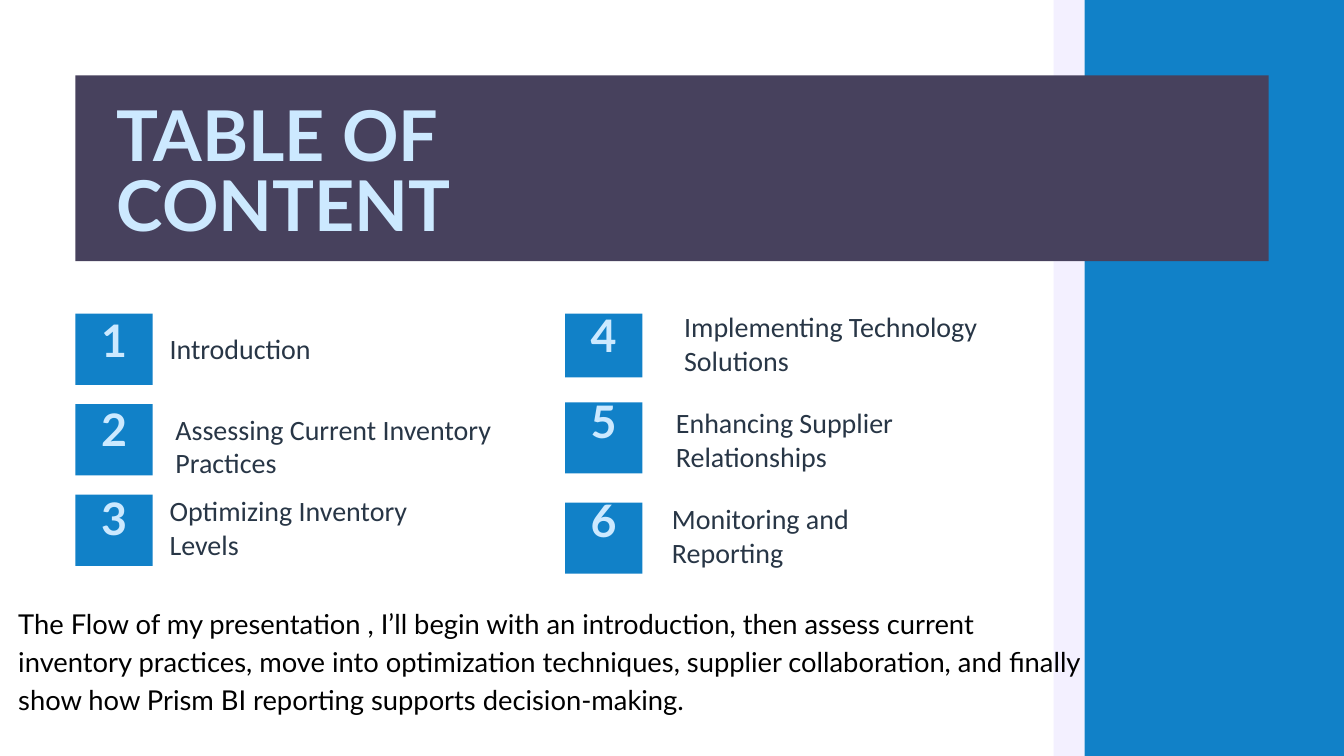
from dataclasses import dataclass

from pptx import Presentation
from pptx.dml.color import RGBColor
from pptx.enum.shapes import MSO_SHAPE
from pptx.enum.text import MSO_ANCHOR, MSO_AUTO_SIZE, PP_ALIGN
from pptx.util import Cm, Pt

RECTANGLE = MSO_SHAPE.RECTANGLE
TOP = MSO_ANCHOR.TOP
NO_AUTOFIT = MSO_AUTO_SIZE.NONE
LEFT, CENTER = PP_ALIGN.LEFT, PP_ALIGN.CENTER

COLORS = {
    "pale": "F3F0FF",
    "blue": "1181C8",
    "banner": "47415D",
    "light": "CCE9FF",
    "label": "283646",
    "summary": "000000",
}
SLIDE_WIDTH, SLIDE_HEIGHT = 50.8, 28.58
MARGIN = 2.85
TILE_WIDTH, TILE_HEIGHT = 2.92, 2.69
NUMBER_WIDTH, NUMBER_HEIGHT = 2.11, 2.11
LABEL_HEIGHT = 2.57
COLUMN_LEFTS = (MARGIN, 21.36)
SUMMARY = (
    "The Flow of my presentation , I’ll begin with an introduction, then assess "
    "current inventory practices, move into optimization techniques, supplier "
    "collaboration, and finally show how Prism BI reporting supports decision-making."
)


@dataclass
class Topic:
    """One entry of the contents; offsets are measured from its tile."""

    label: str
    top: float
    number_dy: float
    label_dx: float
    label_dy: float
    label_width: float
    tile_height: float = TILE_HEIGHT


TOPICS = (
    Topic("Introduction", 11.86, 0.3, 3.56, 0.69, 7.49),
    Topic("Assessing Current Inventory Practices", 15.28, 0.23, 3.78, 0.3, 13.13),
    Topic("Optimizing Inventory Levels", 18.7, 0.2, 3.56, -0.03, 10.52),
    Topic("Implementing Technology Solutions", 11.86, 0.13, 4.5, -0.15, 12.42, 2.41),
    Topic("Enhancing Supplier Relationships", 15.21, 0, 4.19, 0.13, 11.07),
    Topic("Monitoring and Reporting", 19, -0.05, 4.04, -0.03, 10.52),
)


def write_text(holder, text, *, size, spacing, color, font="Lato", bold=False, align=LEFT):
    """Fill a text holder with one formatted paragraph."""
    frame = holder.text_frame
    frame.word_wrap = True
    frame.auto_size = NO_AUTOFIT
    frame.vertical_anchor = TOP
    frame.margin_left = frame.margin_right = frame.margin_top = frame.margin_bottom = 0
    paragraph = frame.paragraphs[0]
    paragraph.alignment = align
    paragraph.line_spacing = Pt(spacing)
    paragraph.space_before = Pt(0)
    run = paragraph.add_run()
    run.text = text
    run.font.name = font
    run.font.size = Pt(size)
    run.font.bold = bold
    run.font.color.rgb = RGBColor.from_string(COLORS[color])


def add_text(slide, left, top, width, height, text, **style):
    """Add a text box with formatted text."""
    holder = slide.shapes.add_textbox(Cm(left), Cm(top), Cm(width), Cm(height))
    write_text(holder, text, **style)


def add_panel(slide, left, top, width, height, color):
    """Add a plain filled rectangle."""
    panel = slide.shapes.add_shape(RECTANGLE, Cm(left), Cm(top), Cm(width), Cm(height))
    panel.shadow.inherit = False
    panel.fill.solid()
    panel.fill.fore_color.rgb = RGBColor.from_string(COLORS[color])
    panel.line.fill.background()
    return panel


def add_side_band(slide, left, top, width, height):
    """Draw the blue side band with its pale edge."""
    edge = 1.17
    add_panel(slide, left, top, edge, height, "pale")
    add_panel(slide, left + edge, top, width - edge, height, "blue")


def add_title_banner(slide, left, top, width, height):
    """Draw the banner and set the title on top of it."""
    banner = add_panel(slide, left, top, width, height, "banner")
    title = slide.shapes.title
    title.left, title.top = Cm(left + 1.57), Cm(top + 1.14)
    title.width, title.height = Cm(25.02), Cm(5.94)
    write_text(title, "TABLE OF CONTENT", size=75, spacing=75, color="light", bold=True)
    banner.element.addnext(title.element)


def add_topic(slide, left, number, topic):
    """Draw a numbered tile with its label to the right."""
    add_panel(slide, left, topic.top, TILE_WIDTH, topic.tile_height, "blue")
    add_text(slide, left + (TILE_WIDTH - NUMBER_WIDTH) / 2, topic.top + topic.number_dy,
             NUMBER_WIDTH, NUMBER_HEIGHT, str(number),
             size=48, spacing=48, color="light", bold=True, align=CENTER)
    add_text(slide, left + topic.label_dx, topic.top + topic.label_dy,
             topic.label_width, LABEL_HEIGHT, topic.label,
             size=30, spacing=36, color="label", font="Calibri")


def main():
    """Build the contents slide."""
    deck = Presentation()
    deck.slide_width, deck.slide_height = Cm(SLIDE_WIDTH), Cm(SLIDE_HEIGHT)
    slide = deck.slides.add_slide(deck.slide_layouts.get_by_name("Title Only"))
    band_left = 39.83
    add_side_band(slide, band_left, 0, SLIDE_WIDTH - band_left, SLIDE_HEIGHT)
    add_title_banner(slide, MARGIN, MARGIN, SLIDE_WIDTH - 2 * MARGIN, 7.02)
    for index, topic in enumerate(TOPICS):
        add_topic(slide, COLUMN_LEFTS[index // 3], index + 1, topic)
    add_text(slide, 0.69, 22.73, 40.31, 4.24, SUMMARY,
             size=29.3, spacing=41, color="summary")
    deck.save("out.pptx")


if __name__ == "__main__":
    main()
